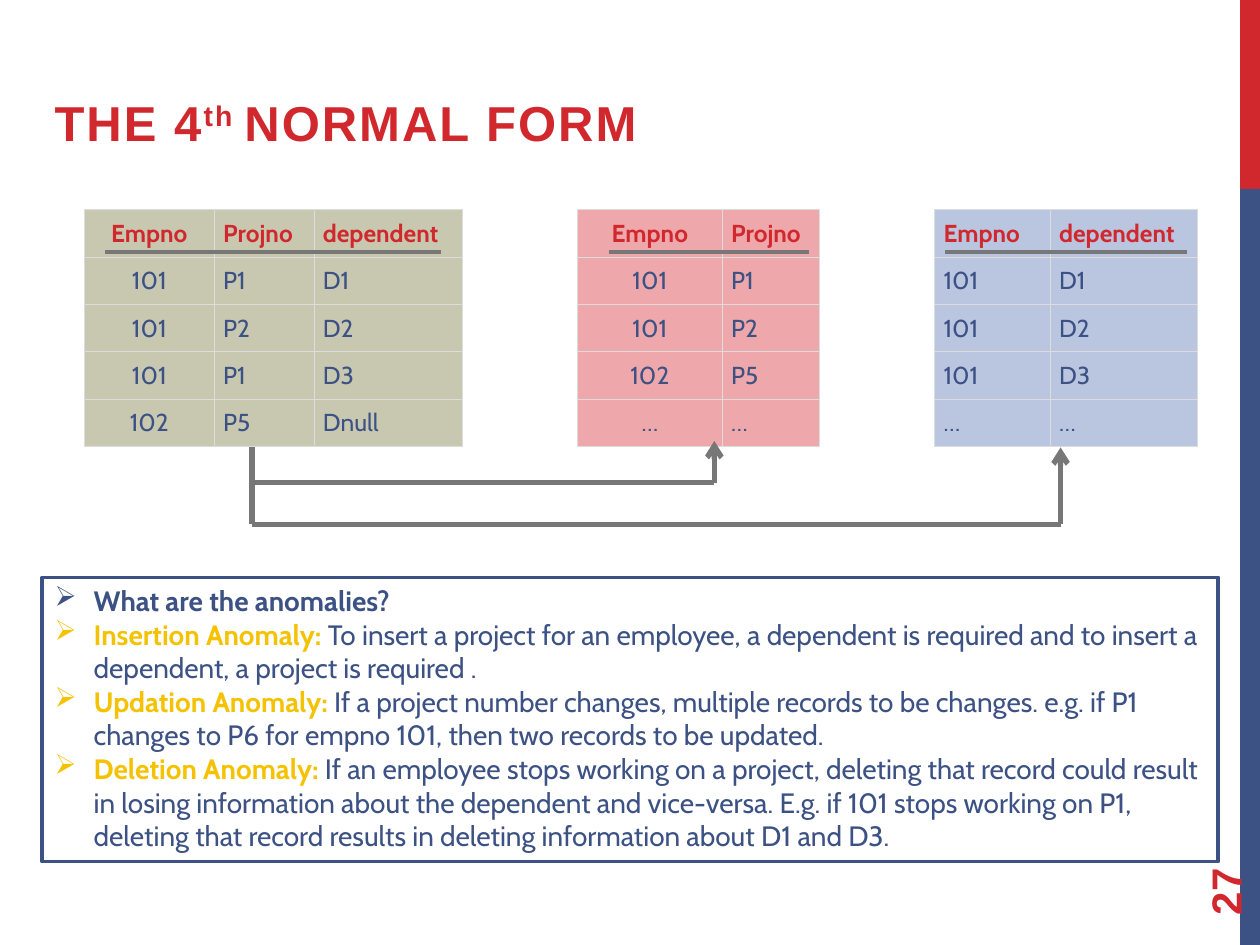
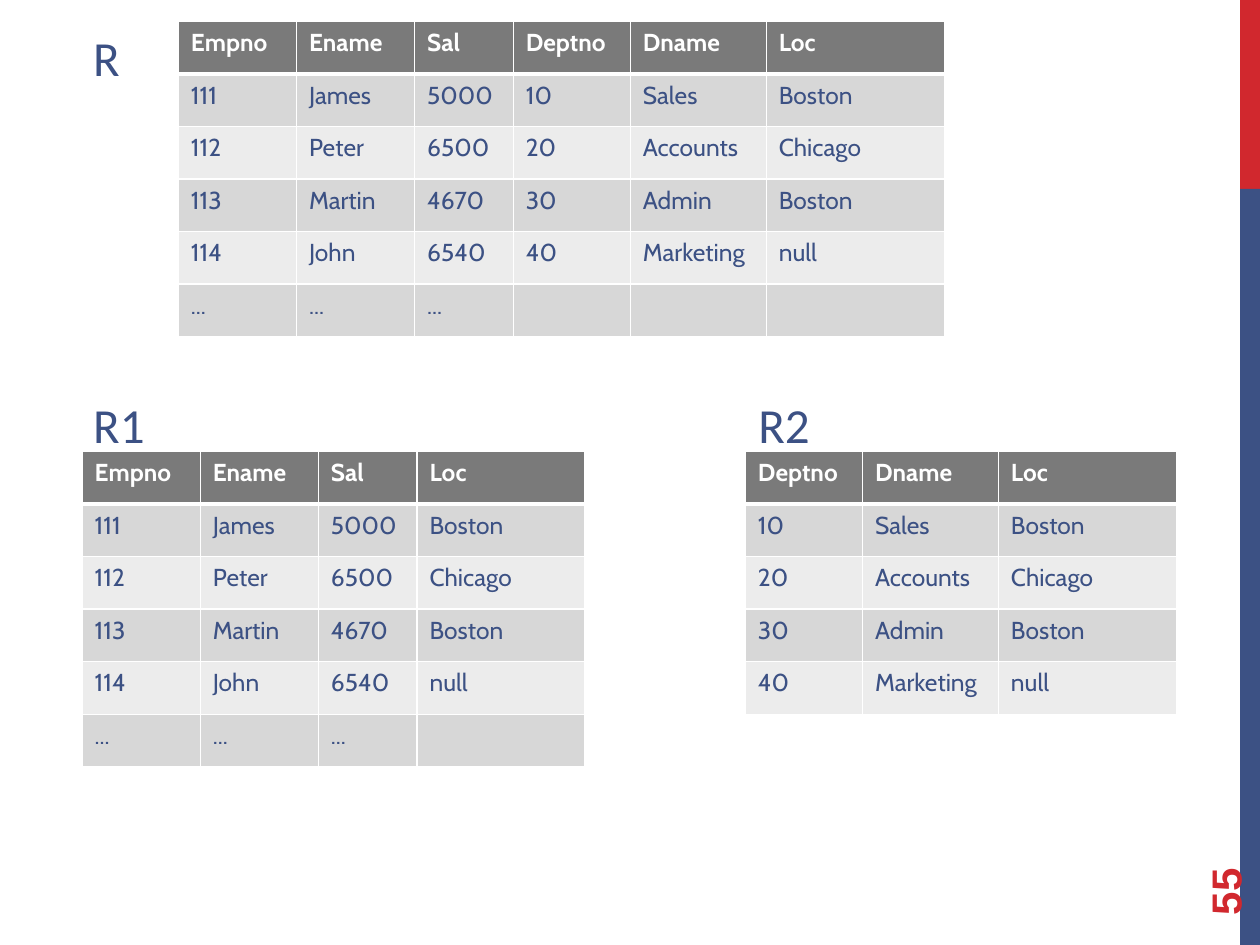
"""Build two slides on normal forms: the fourth normal form and a relation split in two."""
from lxml.etree import SubElement
from pptx import Presentation
from pptx.dml.color import RGBColor as RGB
from pptx.enum.shapes import MSO_CONNECTOR as CONNECTOR, MSO_SHAPE as SHAPE
from pptx.enum.text import MSO_ANCHOR as ANCHOR, PP_ALIGN as ALIGN
from pptx.oxml.ns import qn
from pptx.util import Cm, Pt

COLORS = {
    "red": "D1282E", "blue": "3C5184", "yellow": "F5C201", "white": "FFFFFF",
    "line": "777777", "grid": "DDDDDD", "olive": "C8C8B1", "pink": "EEA7AA",
    "sky": "BAC5DF", "header": "7A7A7A", "dark band": "D7D7D7", "light band": "ECECEC",
}
COLORS = {name: RGB.from_string(value) for name, value in COLORS.items()}


def add_grid(slide, left, top, widths, row_height, rows, header_color, fills,
             border, border_width, rule_width, margins, centered=False):
    """Add a table; fills holds the header fill, then the alternating row fills."""
    frame = slide.shapes.add_table(len(rows), len(widths), Cm(left), Cm(top),
                                   Cm(sum(widths)), Cm(row_height * len(rows)))
    table = frame.table
    table.horz_banding = False
    for column, width in zip(table.columns, widths):
        column.width = Cm(width)
    for row_index, values in enumerate(rows):
        table.rows[row_index].height = Cm(row_height)
        for column_index, value in enumerate(values):
            cell = table.cell(row_index, column_index)
            cell.margin_left = cell.margin_right = Cm(margins[0])
            cell.margin_top = cell.margin_bottom = Cm(margins[1])
            properties = cell._tc.get_or_add_tcPr()
            for side in "LRTB":
                on_rule = (row_index, side) in ((0, "B"), (1, "T"))
                width = Pt(rule_width if on_rule else border_width)
                edge = SubElement(properties, qn(f"a:ln{side}"), w=str(width))
                SubElement(SubElement(edge, qn("a:solidFill")), qn("a:srgbClr"),
                           val=str(COLORS[border]))
            cell.fill.solid()
            band = 0 if row_index == 0 else 1 + (row_index - 1) % (len(fills) - 1)
            cell.fill.fore_color.rgb = COLORS[fills[band]]
            paragraph = cell.text_frame.paragraphs[0]
            paragraph.text = value
            paragraph.alignment = ALIGN.CENTER if centered and column_index == 0 else ALIGN.LEFT
            paragraph.font.name, paragraph.font.size = "Cabin", Pt(14)
            paragraph.font.bold = row_index == 0
            paragraph.font.color.rgb = COLORS["blue" if row_index else header_color]


def add_line(slide, start, end, width, arrow=False):
    """Add a grey straight line, with an arrowhead at its end if asked."""
    line = slide.shapes.add_connector(CONNECTOR.STRAIGHT, *map(Cm, start + end))
    line.line.color.rgb = COLORS["line"]
    line.line.width = Pt(width)
    if arrow:
        SubElement(line.line._get_or_add_ln(), qn("a:tailEnd"), type="arrow")
    SubElement(line._element.spPr, qn("a:effectLst"))


presentation = Presentation()
presentation.slide_width, presentation.slide_height = Cm(25.4), Cm(19.05)

slides = []
for number in ("27", "55"):
    slide = presentation.slides.add_slide(presentation.slide_layouts[6])
    slides.append(slide)
    for top, height, color in ((0, 3.81, "red"), (3.81, 15.24, "blue")):
        band = slide.shapes.add_shape(SHAPE.RECTANGLE, Cm(25), Cm(top), Cm(0.4), Cm(height))
        band.shadow.inherit = False
        band.fill.solid()
        band.fill.fore_color.rgb = COLORS[color]
        band.line.fill.background()
    number_box = slide.shapes.add_textbox(Cm(22.86), Cm(16.36), Cm(3.66), Cm(1.02))
    number_box.rotation = 270
    number_box.text_frame.word_wrap = True
    number_box.text_frame.vertical_anchor = ANCHOR.MIDDLE
    paragraph = number_box.text_frame.paragraphs[0]
    paragraph.text = number
    paragraph.font.name, paragraph.font.size = "Arial", Pt(24)
    paragraph.font.bold = True
    paragraph.font.color.rgb = COLORS["red"]

form_slide, split_slide = slides

title = form_slide.shapes.add_textbox(Cm(0.85), Cm(1.48), Cm(21.38), Cm(1.7))
title.text_frame.word_wrap = True
title.text_frame.vertical_anchor = ANCHOR.BOTTOM
paragraph = title.text_frame.paragraphs[0]
paragraph.font.name, paragraph.font.size = "Arial", Pt(28)
paragraph.font.bold = True
paragraph.font.color.rgb = COLORS["red"]
for text, baseline in (("THE 4", 0), ("th ", 30000), ("NORMAL FORM", 0)):
    run = paragraph.add_run()
    run.text = text
    run_properties = run._r.get_or_add_rPr()
    run_properties.set("spc", "120")
    run_properties.set("baseline", str(baseline))

form_tables = (
    (1.7, (2.62, 2.01, 3), 0.95, "olive", True,
     ("Empno Projno dependent", "101 P1 D1", "101 P2 D2", "101 P1 D3", "102 P5 Dnull")),
    (11.64, (2.92, 1.96), 0.93, "pink", True,
     ("Empno Projno", "101 P1", "101 P2", "102 P5", "… …")),
    (18.84, (2.33, 2.96), 0.93, "sky", False,
     ("Empno dependent", "101 D1", "101 D2", "101 D3", "… …")),
)
for left, widths, row_height, fill, centered, lines in form_tables:
    add_grid(form_slide, left, 4.23, widths, row_height, [line.split() for line in lines],
             "red", (fill, fill), "grid", 0.6, 0.6, (0.18, 0.18), centered)

anomalies = (
    ("What are the anomalies?", "blue", ""),
    ("Insertion Anomaly: ", "yellow",
     "To insert a project for an employee, a dependent is required and to insert a dependent, "
     "a project is required ."),
    ("Updation Anomaly: ", "yellow",
     "If a project number changes, multiple records to be changes. e.g. if P1 changes to P6 "
     "for empno 101, then two records to be updated."),
    ("Deletion Anomaly: ", "yellow",
     "If an employee stops working on a project, deleting that record could result in losing "
     "information about the dependent and vice-versa. E.g. if 101 stops working on P1, "
     "deleting that record results in deleting information about D1 and D3."),
)
anomaly_box = form_slide.shapes.add_shape(SHAPE.RECTANGLE, Cm(0.85), Cm(11.64), Cm(23.71), Cm(5.73))
anomaly_box.shadow.inherit = False
anomaly_box.fill.background()
anomaly_box.line.color.rgb = COLORS["blue"]
anomaly_box.line.width = Pt(2)
frame = anomaly_box.text_frame
frame.word_wrap = True
frame.vertical_anchor = ANCHOR.TOP
for index, (heading, heading_color, detail) in enumerate(anomalies):
    paragraph = frame.add_paragraph() if index else frame.paragraphs[0]
    paragraph.alignment = ALIGN.LEFT
    paragraph_properties = paragraph._p.get_or_add_pPr()
    paragraph_properties.set("marL", str(Cm(0.79)))
    paragraph_properties.set("indent", str(-Cm(0.79)))
    SubElement(paragraph_properties, qn("a:buChar"), char="➢")
    paragraph.font.name, paragraph.font.size = "Cabin", Pt(16)
    for text, color, bold in ((heading, heading_color, True), (detail, "blue", False)):
        if text:
            run = paragraph.add_run()
            run.text = text
            run.font.bold = bold
            run.font.color.rgb = COLORS[color]

source_x = 5.08
for start_y, turn_y, target_x, target_y in ((9.02, 9.73, 14.4, 8.89), (9.73, 10.57, 21.38, 9.02)):
    add_line(form_slide, (source_x, start_y), (source_x, turn_y), 3)
    add_line(form_slide, (source_x, turn_y), (target_x, turn_y), 3)
    add_line(form_slide, (target_x, turn_y), (target_x, target_y), 3, arrow=True)
for key_left, key_right in ((2.12, 8.89), (12.28, 16.3), (19.05, 23.92)):
    add_line(form_slide, (key_left, 5.08), (key_right, 5.08), 2)

employees = (
    ("Empno", "Ename", "Sal", "Deptno", "Dname", "Loc"),
    ("111", "James", "5000", "10", "Sales", "Boston"),
    ("112", "Peter", "6500", "20", "Accounts", "Chicago"),
    ("113", "Martin", "4670", "30", "Admin", "Boston"),
    ("114", "John", "6540", "40", "Marketing", "null"),
    ("...", "...", "...", "", "", ""),
)
relations = (
    ("R", 1.63, 0.43, 3.6, 0.43, (2.38, 2.38, 1.99, 2.36, 2.74, 3.6), range(6), 6),
    ("R1", 1.63, 7.82, 1.66, 9.1, (2.38, 2.38, 1.99, 3.38), (0, 1, 2, 5), 6),
    ("R2", 15.04, 7.82, 15.03, 9.1, (2.36, 2.74, 3.6), (3, 4, 5), 5),
)
for name, label_left, label_top, left, top, widths, columns, row_count in relations:
    rows = [[row[column] for column in columns] for row in employees[:row_count]]
    add_grid(split_slide, left, top, widths, 1.06, rows, "white",
             ("header", "dark band", "light band"), "white", 1, 3, (0.25, 0.13))
    label = split_slide.shapes.add_textbox(Cm(label_left), Cm(label_top),
                                           Cm(1.14 if name == "R" else 1.75), Cm(1.45))
    label.text_frame.word_wrap = False
    paragraph = label.text_frame.paragraphs[0]
    paragraph.text = name
    paragraph.font.name, paragraph.font.size = "Calibri", Pt(28)
    paragraph.font.color.rgb = COLORS["blue"]

presentation.save("out.pptx")
